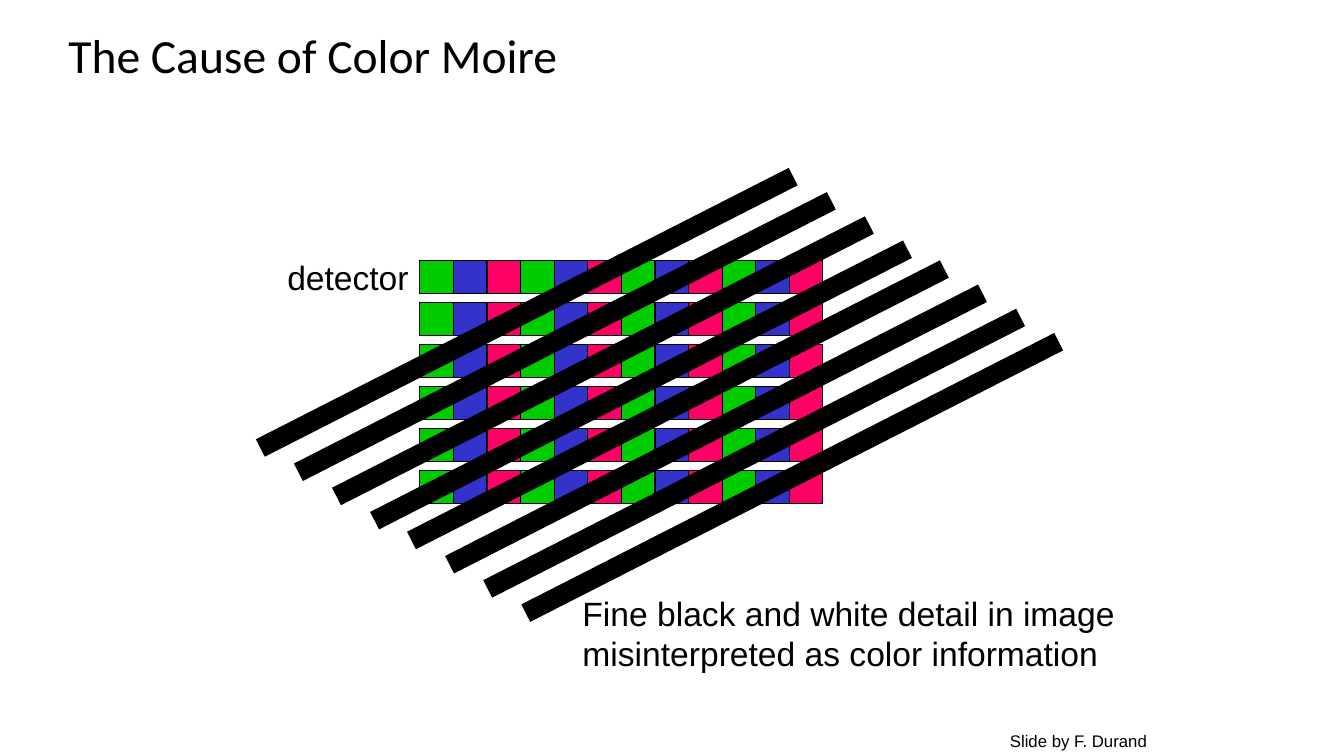
from itertools import cycle, islice

from lxml.etree import SubElement
from pptx import Presentation
from pptx.dml.color import RGBColor
from pptx.enum.shapes import MSO_CONNECTOR as Connector, MSO_SHAPE as Shape
from pptx.enum.text import MSO_ANCHOR as Anchor, MSO_AUTO_SIZE as AutoSize, PP_ALIGN as Align
from pptx.oxml.ns import qn
from pptx.util import Cm, Pt

COLORS = {"ink": "000000", "green": "00CC00", "blue": "3333CC", "red": "FF0066"}
PIXEL_ORDER = ("green", "blue", "red")


def color(name):
    return RGBColor.from_string(COLORS[name])


def write_lines(frame, lines, size, font_name):
    for index, line in enumerate(lines):
        paragraph = frame.paragraphs[0] if index == 0 else frame.add_paragraph()
        paragraph.alignment = Align.LEFT
        run = paragraph.add_run()
        run.text = line
        run.font.size = Pt(size)
        run.font.name = font_name
        run.font.color.rgb = color("ink")


def add_title(slide, box, text):
    title = slide.shapes.title
    title.left, title.top, title.width, title.height = map(Cm, box)
    frame = title.text_frame
    frame.auto_size = AutoSize.NONE
    frame.vertical_anchor = Anchor.MIDDLE
    write_lines(frame, [text], 34, "Calibri")


def add_label(slide, box, lines, size):
    frame = slide.shapes.add_textbox(*map(Cm, box)).text_frame
    frame.word_wrap = False
    frame.auto_size = AutoSize.SHAPE_TO_FIT_TEXT
    write_lines(frame, lines, size, "Arial")


def add_detector(slide, box, rows=6, columns=12):
    """Rows of square pixels spread evenly over the box."""
    left, top, width, height = box
    side = width / columns
    row_pitch = (height - side) / (rows - 1)
    for row in range(rows):
        for column, name in enumerate(islice(cycle(PIXEL_ORDER), columns)):
            pixel = slide.shapes.add_shape(
                Shape.RECTANGLE, Cm(left + column * side), Cm(top + row * row_pitch),
                Cm(side), Cm(side))
            pixel.shadow.inherit = False
            pixel.fill.solid()
            pixel.fill.fore_color.rgb = color(name)
            pixel.line.color.rgb = color("ink")
            pixel.line.width = Pt(0.75)


def add_stripes(slide, box, count=4, step_x=0.96, step_y=0.61):
    """Parallel rising stripes; the box holds the first one."""
    left, top, width, height = box
    group = slide.shapes.add_group_shape()
    for index in range(count):
        x, y = left + index * step_x, top + index * step_y
        stripe = group.shapes.add_connector(
            Connector.STRAIGHT, Cm(x), Cm(y + height), Cm(x + width), Cm(y))
        stripe.line.color.rgb = color("ink")
        stripe.line.width = Pt(14)
        SubElement(stripe._element.spPr, qn("a:effectLst"))


def main():
    presentation = Presentation()
    presentation.slide_width, presentation.slide_height = Cm(33.87), Cm(19.05)
    slide = presentation.slides.add_slide(presentation.slide_layouts[5])

    add_title(slide, (1.47, 0.2, 30.68, 2.34), "The Cause of Color Moire")

    # Detector with the fine black and white detail over it
    add_detector(slide, (10.58, 6.56, 10.16, 6.14))
    add_stripes(slide, (10.37, 6.78, 13.43, 6.84))
    add_label(slide, (6.99, 6.35, 3.58, 1.27), ["detector"], 24)
    add_label(slide, (14.43, 14.81, 14.07, 2.31),
              ["Fine black and white detail in image",
               "misinterpreted as color information"], 24)
    add_stripes(slide, (6.56, 4.45, 13.43, 6.84))

    # Credit
    add_label(slide, (25.2, 18.29, 4.01, 0.76), ["Slide by F. Durand"], 12)

    presentation.save("out.pptx")


if __name__ == "__main__":
    main()
